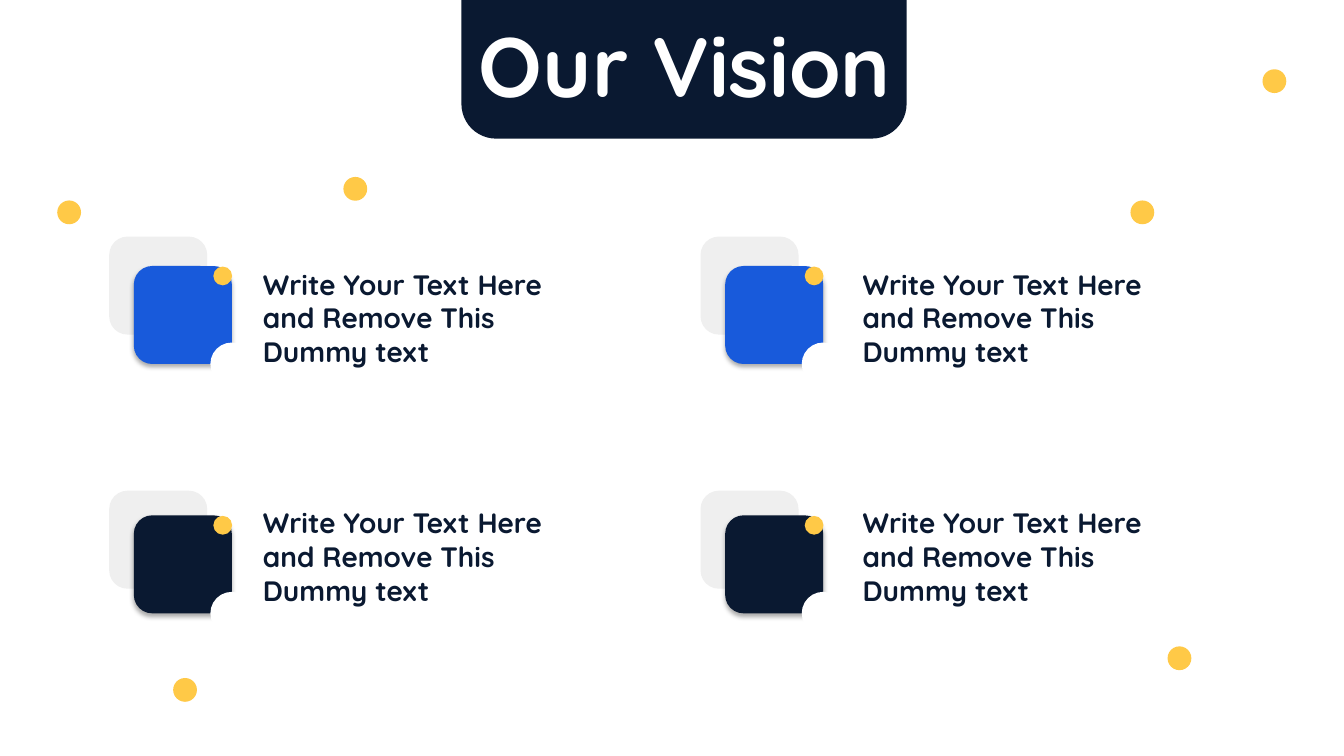
from typing import NamedTuple

from lxml import etree
from pptx import Presentation
from pptx.dml.color import RGBColor
from pptx.enum import shapes as es, text as et
from pptx.oxml import ns
from pptx.util import Pt

NAVY = RGBColor(0x0A, 0x19, 0x31)
BLUE = RGBColor(0x18, 0x5A, 0xDB)
AMBER = RGBColor(0xFF, 0xC9, 0x47)
PALE = RGBColor(0xEF, 0xEF, 0xEF)
WHITE = RGBColor(0xFF, 0xFF, 0xFF)
FONT = "Quicksand"
BODY = "Write Your Text Here and Remove This Dummy text"
OVAL = es.MSO_SHAPE.OVAL
ROUND = es.MSO_SHAPE.ROUNDED_RECTANGLE
TILE = 70
CURVE = 0.187


class Dot(NamedTuple):
    x: float
    y: float


class Col(NamedTuple):
    tile: float
    text: float


class Row(NamedTuple):
    back: float
    front: float
    text: float
    fill: RGBColor


DOTS = [
    Dot(49.4, 151.7), Dot(816, 151.7), Dot(132.2, 492.8),
    Dot(910.3, 58), Dot(842.5, 470.2), Dot(253.8, 134.9),
]
COLS = [Col(78, 180.7), Col(500.4, 609.1)]
ROWS = [Row(169, 190, 187.2, BLUE), Row(350.5, 368.1, 357.8, NAVY)]


def draw(slide, kind, x: float, y: float, w: float, h: float, fill: RGBColor):
    shape = slide.shapes.add_shape(kind, Pt(x), Pt(y), Pt(w), Pt(h))
    shape.shadow.inherit = False
    shape.fill.solid()
    shape.fill.fore_color.rgb = fill
    shape.line.fill.background()
    return shape


def disc(slide, x: float, y: float, size: float, fill: RGBColor) -> None:
    draw(slide, OVAL, x - size / 2, y - size / 2, size, size, fill)


def tile(slide, x: float, y: float, fill: RGBColor):
    shape = draw(slide, ROUND, x, y, TILE, TILE, fill)
    shape.adjustments[0] = CURVE
    return shape


def shade(shape) -> None:
    effects = shape.element.spPr.find(ns.qn("a:effectLst"))
    outer = etree.SubElement(
        effects, ns.qn("a:outerShdw"), blurRad=str(Pt(3.5)), dist=str(Pt(2.2)),
        dir="5400000", algn="ctr", rotWithShape="0")
    black = etree.SubElement(outer, ns.qn("a:srgbClr"), val="000000")
    etree.SubElement(black, ns.qn("a:alpha"), val="32000")


def write(box, words: str, size: float, fill: RGBColor, wrap: bool, align) -> None:
    frame = box.text_frame
    frame.text = words
    frame.word_wrap = wrap
    frame.auto_size = et.MSO_AUTO_SIZE.SHAPE_TO_FIT_TEXT
    frame.vertical_anchor = et.MSO_ANCHOR.TOP
    line = frame.paragraphs[0]
    line.alignment = align
    font = line.runs[0].font
    font.name, font.size, font.bold = FONT, Pt(size), True
    font.color.rgb = fill


def card(slide, col: Col, row: Row) -> None:
    left = col.tile + 17.6
    tile(slide, col.tile, row.back, PALE)
    shade(tile(slide, left, row.front, row.fill))
    disc(slide, left + TILE, row.front + TILE, 30.6, WHITE)
    disc(slide, left + 63.5, row.front + 7.1, 13.4, AMBER)
    box = slide.shapes.add_textbox(Pt(col.text), Pt(row.text), Pt(250), Pt(80))
    write(box, BODY, 20, NAVY, True, et.PP_ALIGN.LEFT)


def head(slide) -> None:
    banner = draw(slide, es.MSO_SHAPE.ROUND_2_SAME_RECTANGLE, 329.6, 0, 318, 99, NAVY)
    banner.adjustments[0] = 0
    banner.adjustments[1] = 0.25
    title = slide.shapes.title
    title.left, title.top = Pt(333.2), Pt(5.8)
    title.width, title.height = Pt(312), Pt(80)
    write(title, "Our Vision", 60, WHITE, False, et.PP_ALIGN.CENTER)
    banner.element.addnext(title.element)


def main() -> None:
    deck = Presentation()
    deck.slide_width, deck.slide_height = Pt(960), Pt(540)
    slide = deck.slides.add_slide(deck.slide_layouts[5])
    for dot in DOTS:
        disc(slide, dot.x, dot.y, 17, AMBER)
    for row in ROWS:
        for col in COLS:
            card(slide, col, row)
    head(slide)
    deck.save("out.pptx")


if __name__ == "__main__":
    main()
